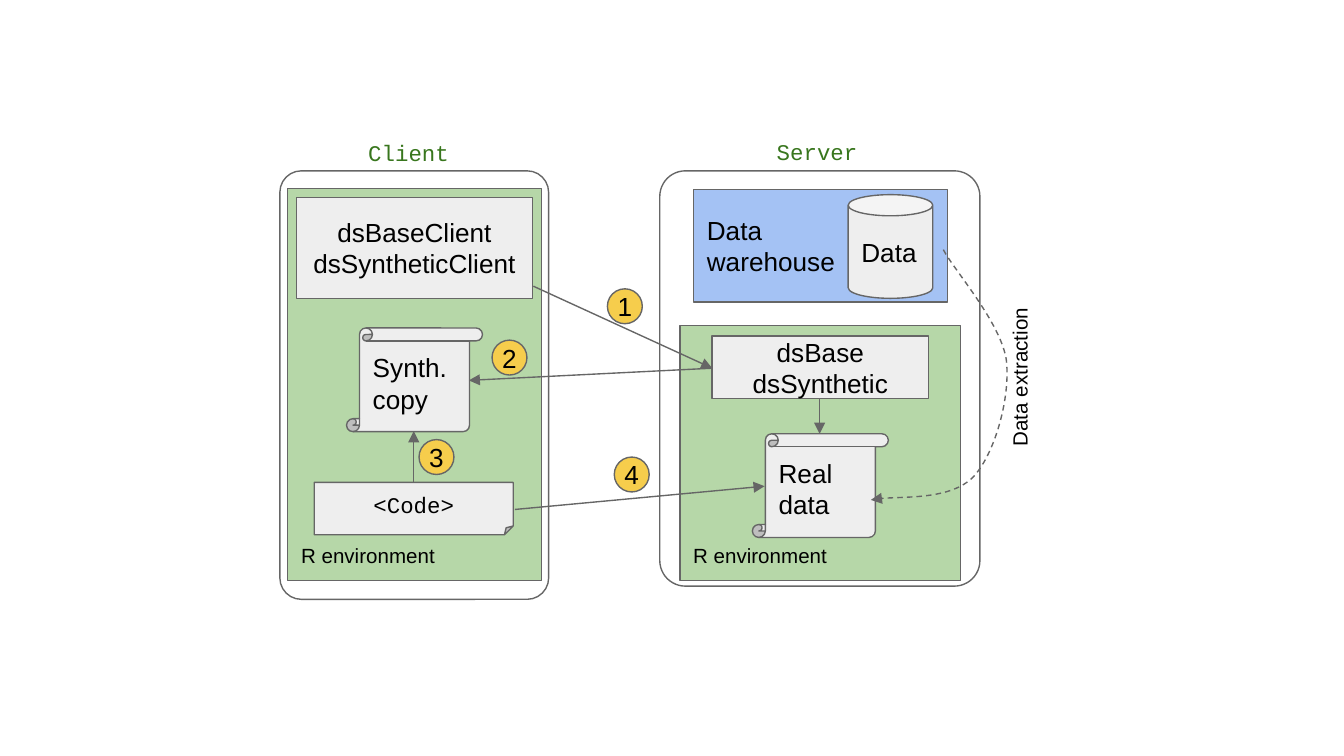
import pptx
import pptx.util
import pptx.dml.color
import pptx.enum.dml
import pptx.enum.shapes
import pptx.enum.text
import pptx.oxml.ns
import pptx.oxml.xmlchemy

Cm = pptx.util.Cm
Pt = pptx.util.Pt
KIND = pptx.enum.shapes.MSO_SHAPE
ALIGN = pptx.enum.text.PP_ALIGN
ANCHOR = pptx.enum.text.MSO_ANCHOR
qn = pptx.oxml.ns.qn
make = pptx.oxml.xmlchemy.OxmlElement

# Formats
GREY, GREEN, BLUE, PALE, GOLD = "666666", "B6D7A8", "A4C2F4", "EEEEEE", "F6CD4C"
BODY = {"name": "Arial", "size": Pt(14), "color": "000000"}
SMALL = {**BODY, "size": Pt(11)}
CODE = {**BODY, "name": "Courier New", "size": Pt(12)}
HEAD = {**CODE, "color": "38761D"}
LEFT, MID = ALIGN.LEFT, ALIGN.CENTER
CENTER, LOW, TOP = ANCHOR.MIDDLE, ANCHOR.BOTTOM, ANCHOR.TOP

# Content, back to front: kind, box in cm, fill, lines of text, font, align, anchor
R_ENV = ["R environment"]
BOXES = [
    (KIND.ROUNDED_RECTANGLE, (5.29, 3.23, 5.08, 8.1), None, [], BODY, LEFT, CENTER),
    (KIND.RECTANGLE, (5.44, 3.56, 4.8, 7.42), GREEN, R_ENV, SMALL, LEFT, LOW),
    (KIND.ROUNDED_RECTANGLE, (12.47, 3.23, 6.05, 7.85), None, [], BODY, LEFT, CENTER),
    (KIND.RECTANGLE, (12.85, 6.15, 5.31, 4.83), GREEN, R_ENV, SMALL, LEFT, LOW),
    (KIND.RECTANGLE, (5.61, 3.73, 4.45, 1.91), PALE,
     ["dsBaseClient", "dsSyntheticClient"], BODY, MID, CENTER),
    (KIND.RECTANGLE, (13.46, 6.35, 4.09, 1.19), PALE,
     ["dsBase", "dsSynthetic"], BODY, MID, CENTER),
    (KIND.VERTICAL_SCROLL, (6.55, 6.2, 2.57, 1.96), PALE,
     ["Synth. copy"], BODY, LEFT, CENTER),
    (KIND.VERTICAL_SCROLL, (14.22, 8.2, 2.57, 1.96), PALE,
     ["Real data"], BODY, LEFT, CENTER),
    (KIND.FOLDED_CORNER, (5.94, 9.12, 3.76, 0.99), PALE, ["<Code>"], CODE, MID, CENTER),
    (KIND.RECTANGLE, (13.11, 3.58, 4.8, 2.13), BLUE,
     ["Data", "warehouse"], BODY, LEFT, CENTER),
    (KIND.CAN, (16.03, 3.68, 1.6, 1.96), PALE, ["Data"], BODY, LEFT, CENTER),
]
ROUND = {0: 0.08, 2: 0.08}  # corner of each frame, by place in BOXES
LABELS = [  # box, text, font, turn
    ((6.71, 2.39, 2.24, 0.99), "Client", HEAD, 0),
    ((14.43, 2.36, 2.16, 0.99), "Server", HEAD, 0),
    ((17.68, 6.58, 3.23, 0.99), "Data extraction", SMALL, 270),
]
ARROWS = [  # start, tip
    ((10.08, 5.41), (13.46, 6.96)),
    ((13.46, 6.96), (8.86, 7.19)),
    ((9.73, 9.63), (14.45, 9.19)),
    ((7.82, 9.12), (7.82, 8.15)),
    ((15.49, 7.54), (15.49, 8.2)),
]
STEPS = [(11.48, 5.46), (9.3, 6.43), (7.92, 8.31), (11.61, 8.64)]
SIDE = 0.66
CURVE = [  # start, then three points for each Bezier part
    (17.83, 4.72),
    (18.01, 5.08), (18.92, 6.1), (19.02, 6.81),
    (19.1, 7.52), (18.8, 8.59), (18.39, 9.02),
    (17.96, 9.45), (16.79, 9.37), (16.46, 9.45),
]


def tint(part, code):
    """Give a solid fill or a font its colour."""
    part.rgb = pptx.dml.color.RGBColor.from_string(code)


def write(shape, lines, font, align, anchor, inset=0.25):
    frame = shape.text_frame
    look = {"word_wrap": True, "vertical_anchor": anchor}
    look.update({"margin_" + s: Cm(inset) for s in ("left", "right", "top", "bottom")})
    for key, val in look.items():
        setattr(frame, key, val)
    for i, line in enumerate(lines):
        para = frame.paragraphs[0] if i == 0 else frame.add_paragraph()
        para.alignment = align
        run = para.add_run()
        run.text = line
        for key, val in font.items():
            if key == "color":
                tint(run.font.color, val)
            else:
                setattr(run.font, key, val)


def rule(line):
    line.width = Pt(0.75)
    line.fill.solid()
    tint(line.fill.fore_color, GREY)


def draw(kind, box, fill):
    shape = shapes.add_shape(kind, *map(Cm, box))
    shape.shadow.inherit = False
    rule(shape.line)
    if fill:
        shape.fill.solid()
        tint(shape.fill.fore_color, fill)
    else:
        shape.fill.background()
    return shape


def point(shape):
    """Put an arrowhead at the end of a line."""
    tail = make("a:tailEnd")
    tail.set("type", "triangle")
    shape._element.spPr.find(qn("a:ln")).append(tail)


# Slide
deck = pptx.Presentation()
deck.slide_width, deck.slide_height = Cm(25.4), Cm(14.29)
shapes = deck.slides.add_slide(deck.slide_layouts[6]).shapes

# Boxes and labels
for i, (kind, box, fill, lines, font, align, anchor) in enumerate(BOXES):
    shape = draw(kind, box, fill)
    if i in ROUND:
        shape.adjustments[0] = ROUND[i]
    write(shape, lines, font, align, anchor)

for box, text, font, turn in LABELS:
    label = shapes.add_textbox(*map(Cm, box))
    label.rotation = turn
    write(label, [text], font, LEFT, TOP)

# Straight arrows
for start, tip in ARROWS:
    arrow = shapes.add_connector(
        pptx.enum.shapes.MSO_CONNECTOR.STRAIGHT, *map(Cm, start + tip))
    rule(arrow.line)
    point(arrow)
    arrow._element.spPr.append(make("a:effectLst"))

# Dashed curve: every three straight parts become one Bezier part
spots = [(Cm(x), Cm(y)) for x, y in CURVE]
pen = shapes.build_freeform(*spots[0])
pen.add_line_segments(spots[1:], close=False)
curve = pen.convert_to_shape()
curve.shadow.inherit = False
curve.fill.background()
rule(curve.line)
curve.line.dash_style = pptx.enum.dml.MSO_LINE.DASH
point(curve)
trace = next(curve._element.iter(qn("a:path")))
parts = trace.findall(qn("a:lnTo"))
for i in range(0, len(parts), 3):
    bend = make("a:cubicBezTo")
    for part in parts[i:i + 3]:
        bend.append(part[0])
        trace.remove(part)
    trace.append(bend)

# Numbered steps
for num, (x, y) in enumerate(STEPS, 1):
    badge = draw(KIND.OVAL, (x, y, SIDE, SIDE), GOLD)
    write(badge, [str(num)], BODY, MID, CENTER, 0.05)

deck.save("out.pptx")
